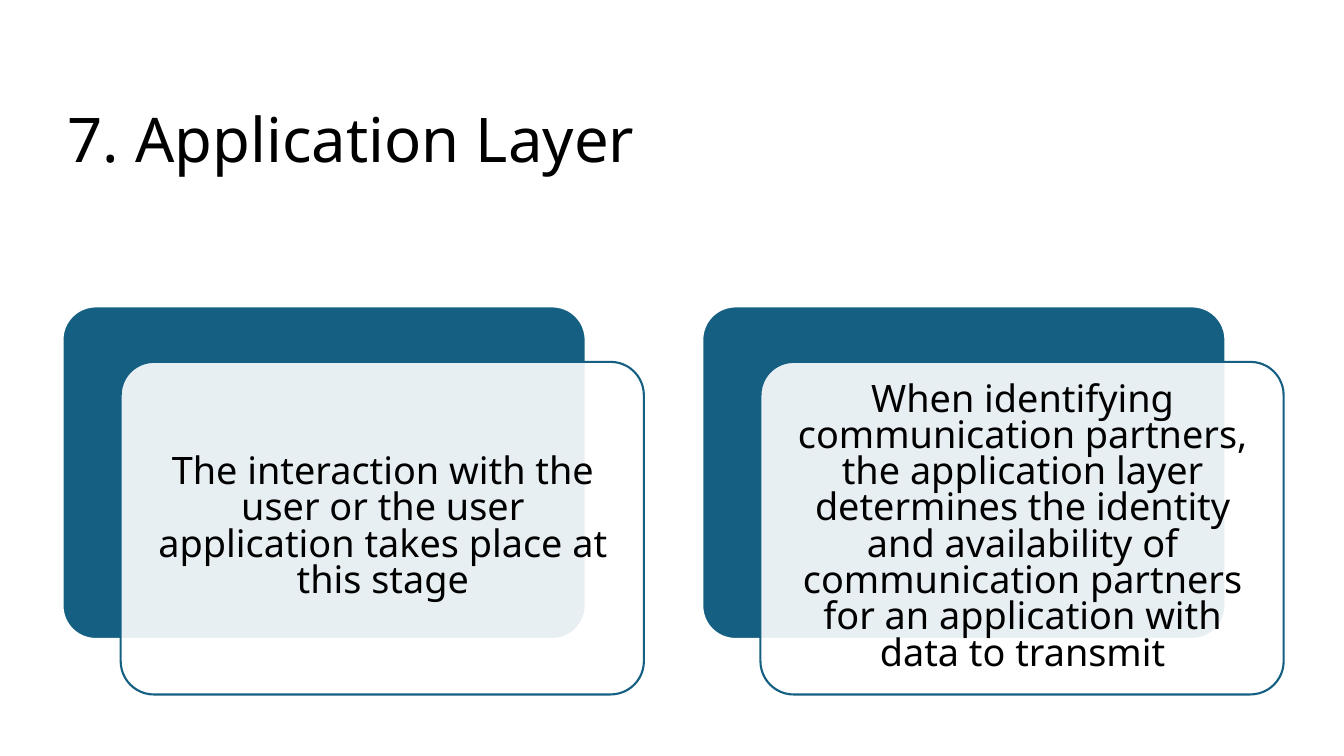
from dataclasses import dataclass

import pptx
import pptx.dml.color
import pptx.enum.shapes
import pptx.enum.text
import pptx.oxml
import pptx.oxml.ns
import pptx.shapes.autoshape
import pptx.slide
import pptx.util

WIDE, HIGH = 13.33, 7.5
FONT = "Noto Sans"
COLORS = {"ink": "000000", "teal": "156082", "white": "FFFFFF"}
ALIGN = pptx.enum.text.PP_ALIGN
ANCHOR = pptx.enum.text.MSO_ANCHOR


@dataclass(frozen=True)
class Box:
    """Left, top, width and height in percent of the slide."""
    left: float
    top: float
    width: float
    height: float

    def shift(self, right: float) -> "Box":
        return Box(self.left + right, self.top, self.width, self.height)

    def place(self) -> tuple[int, int, int, int]:
        return (
            pptx.util.Inches(WIDE * self.left / 100),
            pptx.util.Inches(HIGH * self.top / 100),
            pptx.util.Inches(WIDE * self.width / 100),
            pptx.util.Inches(HIGH * self.height / 100),
        )


@dataclass(frozen=True)
class Style:
    size: int
    space: float
    align: ALIGN
    anchor: ANCHOR
    side: float
    edge: float


TITLE = Style(44, 0.84, ALIGN.LEFT, ANCHOR.TOP, 0.1, 0.05)
BODY = Style(27, 0.8, ALIGN.CENTER, ANCHOR.MIDDLE, 0.11, 0.11)

HEAD = Box(4.28, 14.27, 91.52, 23.87)
BACK = Box(4.65, 40.53, 38.93, 44)
FRONT = Box(8.98, 47.87, 38.93, 44)
LABEL = Box(9.73, 49.2, 37.51, 41.33)
STEP = 47.6

CARDS = [
    "The interaction with the user or the user application takes place at this stage",
    "When identifying communication partners, the application layer determines "
    "the identity and availability of communication partners for an application "
    "with data to transmit",
]


def color(name: str) -> pptx.dml.color.RGBColor:
    return pptx.dml.color.RGBColor.from_string(COLORS[name])


def write(slide: pptx.slide.Slide, box: Box, text: str, style: Style) -> None:
    frame = slide.shapes.add_textbox(*box.place()).text_frame
    frame.word_wrap = True
    frame.auto_size = pptx.enum.text.MSO_AUTO_SIZE.NONE
    frame.vertical_anchor = style.anchor
    frame.margin_left = frame.margin_right = pptx.util.Inches(style.side)
    frame.margin_top = frame.margin_bottom = pptx.util.Inches(style.edge)
    para = frame.paragraphs[0]
    para.text = text
    para.alignment = style.align
    para.line_spacing = style.space
    para.font.name = FONT
    para.font.size = pptx.util.Pt(style.size)
    para.font.color.rgb = color("ink")


def panel(
    slide: pptx.slide.Slide, box: Box, fill: str, line: str
) -> pptx.shapes.autoshape.Shape:
    kind = pptx.enum.shapes.MSO_SHAPE.ROUNDED_RECTANGLE
    shape = slide.shapes.add_shape(kind, *box.place())
    shape.adjustments[0] = 0.1
    shape.shadow.inherit = False
    shape.fill.solid()
    shape.fill.fore_color.rgb = color(fill)
    shape.line.color.rgb = color(line)
    shape.line.width = pptx.util.Pt(1.5)
    return shape


def fade(shape: pptx.shapes.autoshape.Shape, share: int) -> None:
    tint = shape._element.spPr.xpath("a:solidFill/a:srgbClr")[0]
    alpha = pptx.oxml.parse_xml(
        f'<a:alpha {pptx.oxml.ns.nsdecls("a")} val="{share * 1000}"/>'
    )
    tint.append(alpha)


def card(slide: pptx.slide.Slide, right: float, text: str) -> None:
    panel(slide, BACK.shift(right), "teal", "white")
    fade(panel(slide, FRONT.shift(right), "white", "teal"), 90)
    write(slide, LABEL.shift(right), text, BODY)


def main() -> None:
    deck = pptx.Presentation()
    deck.slide_width = pptx.util.Inches(WIDE)
    deck.slide_height = pptx.util.Inches(HIGH)
    slide = deck.slides.add_slide(deck.slide_layouts[6])
    write(slide, HEAD, "7. Application Layer", TITLE)
    for index, text in enumerate(CARDS):
        card(slide, index * STEP, text)
    deck.save("out.pptx")


if __name__ == "__main__":
    main()
